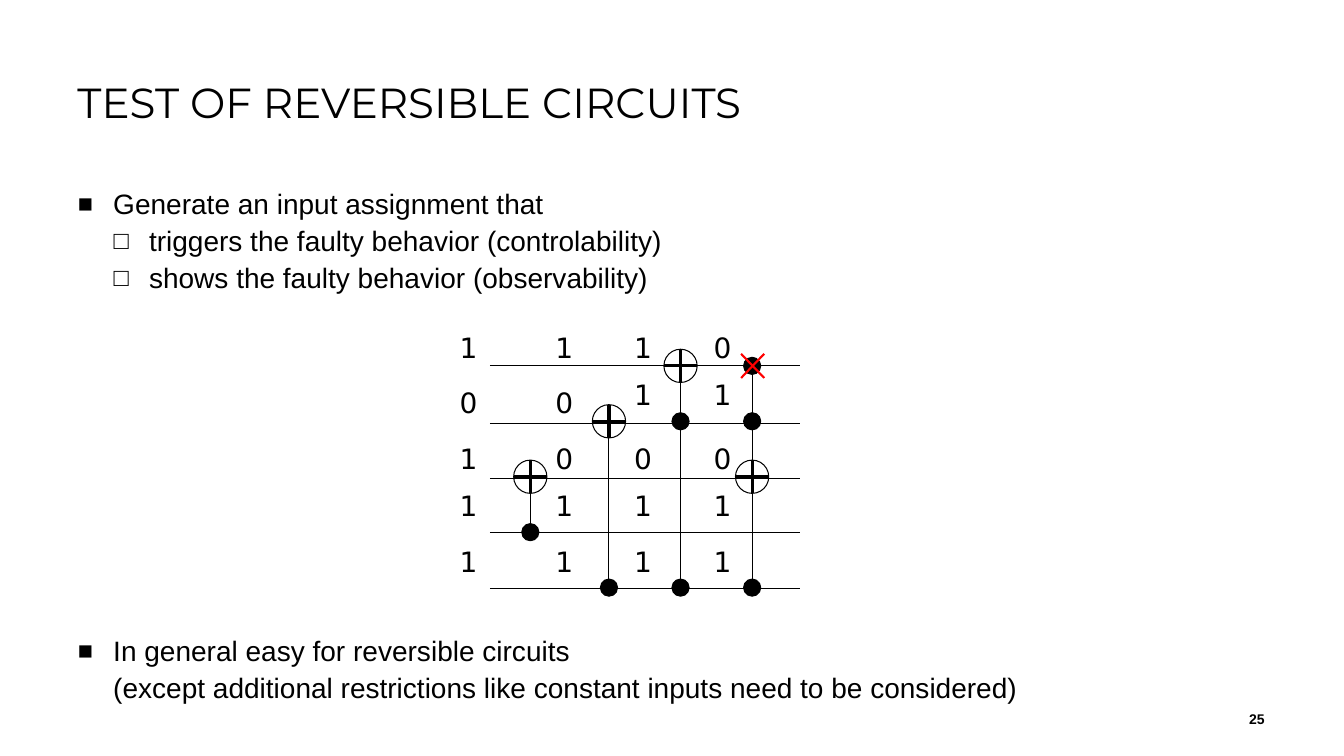
from dataclasses import dataclass

from lxml import etree
from pptx import Presentation
from pptx.dml.color import RGBColor
from pptx.enum.shapes import MSO_CONNECTOR, MSO_SHAPE
from pptx.enum.text import MSO_ANCHOR, PP_ALIGN
from pptx.oxml.ns import qn
from pptx.util import Inches, Pt

STRAIGHT, OVAL = MSO_CONNECTOR.STRAIGHT, MSO_SHAPE.OVAL
LEFT, RIGHT = PP_ALIGN.LEFT, PP_ALIGN.RIGHT
TOP, MIDDLE = MSO_ANCHOR.TOP, MSO_ANCHOR.MIDDLE


@dataclass(frozen=True)
class Theme:
    ink: RGBColor = RGBColor(0, 0, 0)
    fault: RGBColor = RGBColor(255, 0, 0)
    title: tuple = ("Montserrat", 30, False)
    body: tuple = ("Arial", 20, False)
    bit: tuple = ("DejaVu Sans", 20, False)
    page: tuple = ("Arial", 10, True)
    thin: float = 0.75
    cross: float = 1.5
    thick: float = 2.25


theme = Theme()

prs = Presentation()
prs.slide_width, prs.slide_height = Inches(13.33), Inches(7.5)
slide = prs.slides.add_slide(prs.slide_layouts[6])


def add_text(box, lines, style, align=LEFT, anchor=TOP):
    """Place a text box; each line is (text, paragraph format)."""
    frame = slide.shapes.add_textbox(*map(Inches, box)).text_frame
    frame.word_wrap = True
    frame.vertical_anchor = anchor
    name, size, bold = style
    for index, (text, layout) in enumerate(lines):
        paragraph = frame.add_paragraph() if index else frame.paragraphs[0]
        paragraph.text = text
        paragraph.alignment = align
        for key, value in layout.items():
            setattr(paragraph, key, value)
        for run in paragraph.runs:
            font = {"name": name, "size": Pt(size), "bold": bold}
            for key, value in font.items():
                setattr(run.font, key, value)
            run.font.color.rgb = theme.ink
    return frame


def add_line(shapes, start, end, width, color=theme.ink):
    line = shapes.add_connector(STRAIGHT, *map(Inches, start + end))
    line.line.color.rgb = color
    line.line.width = Pt(width)
    etree.SubElement(line._element.spPr, qn("a:effectLst"))


# Bullet list, with room for the circuit before the last point
points = [
    ("■", "Generate an input assignment that", 0, 8),
    ("□", "triggers the faulty behavior (controlability)", 1, 0),
    ("□", "shows the faulty behavior (observability)", 1, 0),
    ("■", "In general easy for reversible circuits\v"
          "(except additional restrictions like constant inputs need to be considered)", 0, 240),
]
body = add_text(
    (0.67, 1.77, 11.87, 4.94),
    [(text, {"level": level, "line_spacing": 1.1, "space_before": Pt(before)})
     for _, text, level, before in points],
    theme.body,
)
for paragraph, (bullet, _, level, _) in zip(body.paragraphs, points):
    props = paragraph._p.get_or_add_pPr()
    props.set("marL", str(Inches(0.355 * (level + 1))))
    props.set("indent", str(Inches(-0.35)))
    etree.SubElement(props, qn("a:buSzPct"), val="90000")
    etree.SubElement(props, qn("a:buFont"), typeface=theme.body[0])
    etree.SubElement(props, qn("a:buChar"), char=bullet)

# Circuit wires
for wire_y in (3.63, 4.2, 4.75, 5.28, 5.84):
    add_line(slide.shapes, (4.86, wire_y), (7.93, wire_y), theme.thin)

# Gates: x, target wire, control wires
gates = [(5.26, 2, [3]), (6.04, 1, [4]), (6.75, 0, [1, 4]), (7.46, 2, [0, 1, 4])]
TARGET_RADIUS, CONTROL_RADIUS = 0.165, 0.085
wire_center = [3.63 + 0.55 * wire for wire in range(5)]
for x, target, controls in gates:
    gate = slide.shapes.add_group_shape().shapes
    nodes = [(target, TARGET_RADIUS)] + [(wire, CONTROL_RADIUS) for wire in controls]
    for wire, radius in nodes:
        y = wire_center[wire]
        node = gate.add_shape(OVAL, *map(Inches, (x - radius, y - radius, 2 * radius, 2 * radius)))
        node.shadow.inherit = False
        node.line.color.rgb = theme.ink
        node.line.width = Pt(theme.thin)
        if wire == target:
            node.fill.background()
            add_line(gate, (x, y - radius), (x, y + radius), theme.thick)
            add_line(gate, (x - radius, y), (x + radius, y), theme.thick)
        else:
            node.fill.solid()
            node.fill.fore_color.rgb = theme.ink
    top = wire_center[min(target, *controls)] - 0.06
    add_line(gate, (x, top), (x, wire_center[max(controls)]), theme.thin)

# Signal values between the gates, one string per wire
columns = (4.46, 5.41, 6.19, 6.98)
rows = [(3.23, "1110"), (3.78, "0011"), (4.33, "1000"), (4.8, "1111"), (5.35, "1111")]
for row, (y, bits) in enumerate(rows):
    for column, (x, bit) in enumerate(zip(columns, bits)):
        bit_y = 3.7 if row == 1 and column > 1 else y
        add_text((x, bit_y, 0.38, 0.44), [(bit, {})], theme.bit)

# Missing control
fault = slide.shapes.add_group_shape().shapes
for start_y, end_y in ((3.51, 3.75), (3.75, 3.51)):
    add_line(fault, (7.35, start_y), (7.58, end_y), theme.cross, theme.fault)

add_text((0.67, 0.79, 11.87, 0.96),
         [("TEST OF REVERSIBLE CIRCUITS", {"line_spacing": 0.83})], theme.title)
add_text((11.89, 6.93, 0.75, 0.4), [("25", {})], theme.page, RIGHT, MIDDLE)

prs.save("out.pptx")
